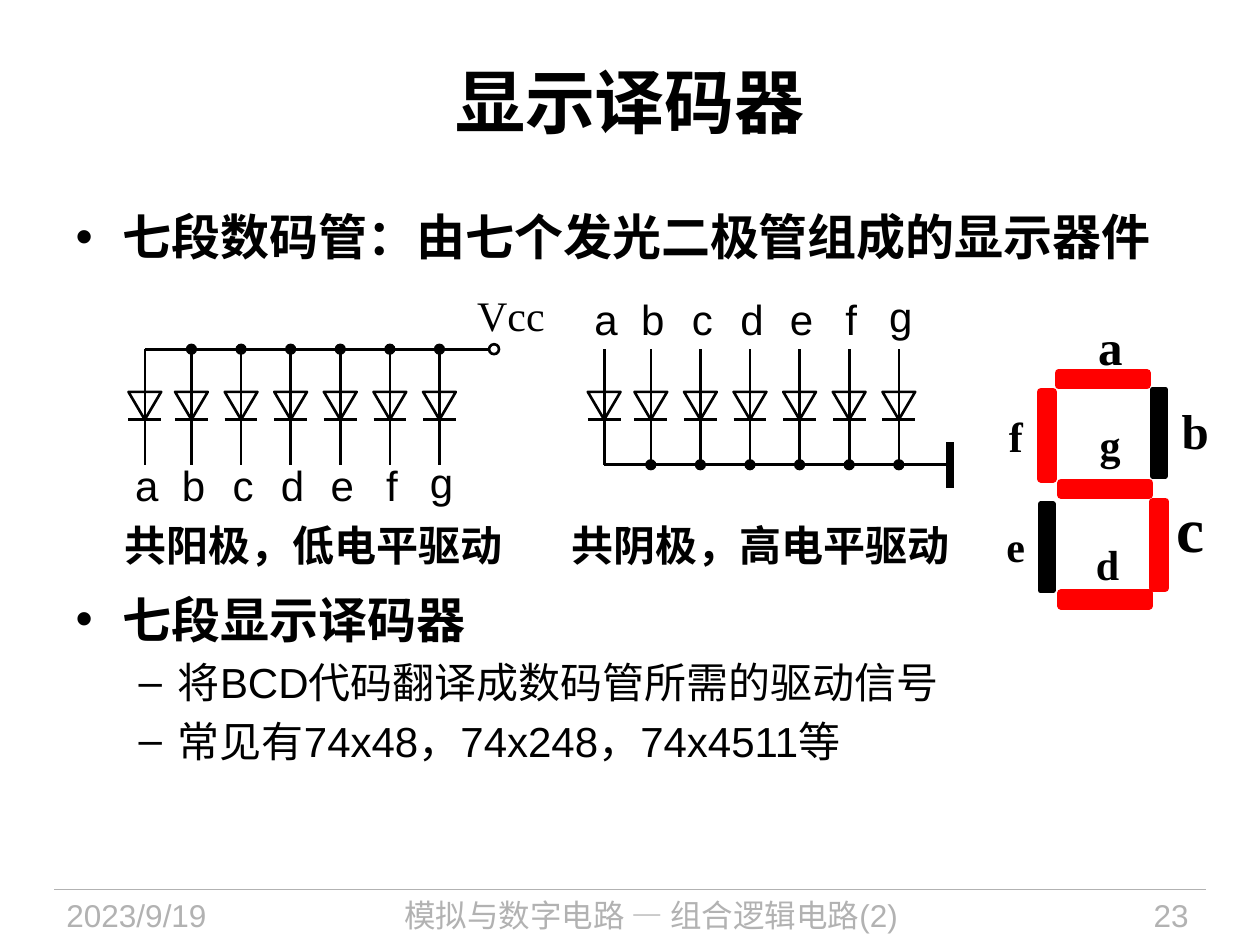
from pptx import Presentation
from pptx.dml.color import RGBColor
from pptx.enum import shapes, text
from pptx.oxml import xmlchemy
from pptx.util import Cm, Pt

COLORS = {"ink": "000000", "lit": "FF0000", "footer": "B2B2B2"}
SANS, SERIF = "Arial", "Times New Roman"
ALIGN = text.PP_ALIGN
GEOMETRY = shapes.MSO_SHAPE

SEGMENT_NAMES = "abcdefg"
COLUMN_OFFSETS = [0] + [0.94 + step for step in range(6)]
WIRE_TOP, WIRE_BOTTOM = 7.04, 9.37
DIODE_TOP, DIODE_WIDTH, DIODE_HEIGHT = 7.9, 0.66, 0.56
DOT = 0.2


def color(name):
    return RGBColor.from_string(COLORS[name])


def add_run(paragraph, words, size, font=SANS, bold=False, ink="ink"):
    run = paragraph.add_run()
    run.text = words
    run.font.size = Pt(size)
    run.font.name = font
    run.font.bold = bold
    run.font.color.rgb = color(ink)


def add_label(parent, words, box, size, align=ALIGN.LEFT, wrap=True, **style):
    label = parent.add_textbox(*map(Cm, box))
    label.text_frame.word_wrap = wrap
    paragraph = label.text_frame.paragraphs[0]
    paragraph.alignment = align
    add_run(paragraph, words, size, **style)


def add_wire(parent, start, end, width=1.5, ink="ink"):
    wire = parent.add_connector(
        shapes.MSO_CONNECTOR.STRAIGHT, *map(Cm, (*start, *end)))
    wire.line.color.rgb = color(ink)
    wire.line.width = Pt(width)
    wire._element.spPr.append(xmlchemy.OxmlElement("a:effectLst"))


def add_symbol(parent, geometry, box, width, fill=None):
    symbol = parent.add_shape(geometry, *map(Cm, box))
    symbol.shadow.inherit = False
    symbol.line.color.rgb = color(fill or "ink")
    symbol.line.width = Pt(width)
    if fill:
        symbol.fill.solid()
        symbol.fill.fore_color.rgb = color(fill)
    else:
        symbol.fill.background()


def add_diode(parent, x):
    left, bar = x - DIODE_WIDTH / 2, DIODE_TOP + DIODE_HEIGHT
    add_wire(parent, (x, WIRE_TOP), (x, WIRE_BOTTOM))
    add_symbol(parent, GEOMETRY.FLOWCHART_MERGE,
               (left, DIODE_TOP, DIODE_WIDTH, DIODE_HEIGHT), 1.5)
    add_wire(parent, (left, bar), (left + DIODE_WIDTH, bar))


def add_diode_bank(slide, first_x, bus_y, bus_end, label_top, caption, caption_left):
    bank = slide.shapes.add_group_shape().shapes
    add_label(bank, caption, (caption_left, 10.34, 8.5, 1.27), 24, bold=True)
    add_wire(bank, (first_x, bus_y), (bus_end, bus_y))
    for name, offset in zip(SEGMENT_NAMES, COLUMN_OFFSETS):
        x = first_x + offset
        add_diode(bank, x)
        if offset:
            add_symbol(bank, GEOMETRY.OVAL,
                       (x - DOT / 2, bus_y - DOT / 2, DOT, DOT), 0.75, "ink")
        top = label_top - (0.06 if name == "g" else 0)
        add_label(bank, name, (x - 0.46, top, 1, 1.27), 24, ALIGN.CENTER, wrap=False)
    return bank


def add_digit(slide):
    upright, level = (0.25, 1.75), (1.78, 0.25)
    segments = [
        ("b", (23.24, 7.85), upright, "ink", (23.57, 7.95), 28),
        ("e", (20.98, 10.16), upright, "ink", (20.04, 10.36), 24),
        ("f", (20.98, 7.9), upright, "lit", (20.09, 8.15), 24),
        ("a", (21.34, 7.52), level, "lit", (21.89, 6.25), 28),
        ("g", (21.39, 9.73), level, "lit", (21.92, 8.31), 24),
        ("c", (23.24, 10.11), upright, "lit", (23.47, 9.75), 36),
        ("d", (21.39, 11.96), level, "lit", (21.84, 10.74), 24),
    ]
    digit = slide.shapes.add_group_shape().shapes
    for name, corner, extent, fill, label_corner, size in segments:
        add_symbol(digit, GEOMETRY.RECTANGLE, (*corner, *extent),
                   4.5 if fill == "lit" else 3, fill)
        add_label(digit, name, (*label_corner, 0.9, size * 0.05), size,
                  font=SERIF, bold=True)


def place(placeholder, box):
    placeholder.left, placeholder.top, placeholder.width, placeholder.height = map(Cm, box)
    placeholder.text_frame.auto_size = text.MSO_AUTO_SIZE.NONE
    return placeholder.text_frame


def fill_title(slide):
    heading = place(slide.shapes.title, (1.27, 0.43, 22.86, 3.18))
    heading.vertical_anchor = text.MSO_ANCHOR.MIDDLE
    heading.paragraphs[0].alignment = ALIGN.CENTER
    add_run(heading.paragraphs[0], "显示译码器", 40, bold=True)


def fill_body(slide):
    points = [
        ("七段数码管：由七个发光二极管组成的显示器件", 0, None),
        ("七段显示译码器", 0, 185),
        ("将BCD代码翻译成数码管所需的驱动信号", 1, None),
        ("常见有74x48，74x248，74x4511等", 1, None),
    ]
    body = place(slide.placeholders[1], (1.27, 4.04, 22.86, 13.31))
    for index, (words, level, gap) in enumerate(points):
        paragraph = body.add_paragraph() if index else body.paragraphs[0]
        paragraph.level = level
        if gap:
            paragraph.space_before = Pt(gap)
        add_run(paragraph, words, 24 if level else 28, bold=not level)


def add_footer(slide):
    top, height = 17.93, 1.12
    add_wire(slide.shapes, (1.09, top), (24.31, top), 0.75, "footer")
    for words, left, width, align in [
        ("2023/9/19", 1.09, 4.78, ALIGN.LEFT),
        ("模拟与数字电路 — 组合逻辑电路(2)", 6.32, 13.61, ALIGN.CENTER),
        ("23", 20.83, 3.38, ALIGN.RIGHT),
    ]:
        add_label(slide.shapes, words, (left, top, width, height), 18, align, ink="footer")


def main():
    deck = Presentation()
    deck.slide_width, deck.slide_height = Cm(25.4), Cm(19.05)
    slide = deck.slides.add_slide(deck.slide_layouts[1])
    add_footer(slide)
    fill_body(slide)
    fill_title(slide)
    anode = add_diode_bank(slide, 2.92, WIRE_TOP, 9.86, 9.14, "共阳极，低电平驱动", 2.26)
    add_label(anode, "Vcc", (9.37, 5.72, 1.88, 1.27), 24, wrap=False, font=SERIF)
    add_symbol(anode, GEOMETRY.OVAL, (9.86, WIRE_TOP - DOT / 2, DOT, DOT), 1.5)
    add_digit(slide)
    cathode = add_diode_bank(slide, 12.18, WIRE_BOTTOM, 19.1, 5.79, "共阴极，高电平驱动", 11.28)
    add_wire(cathode, (19.15, 8.92), (19.15, 9.83), 4.5)
    deck.save("out.pptx")


if __name__ == "__main__":
    main()
